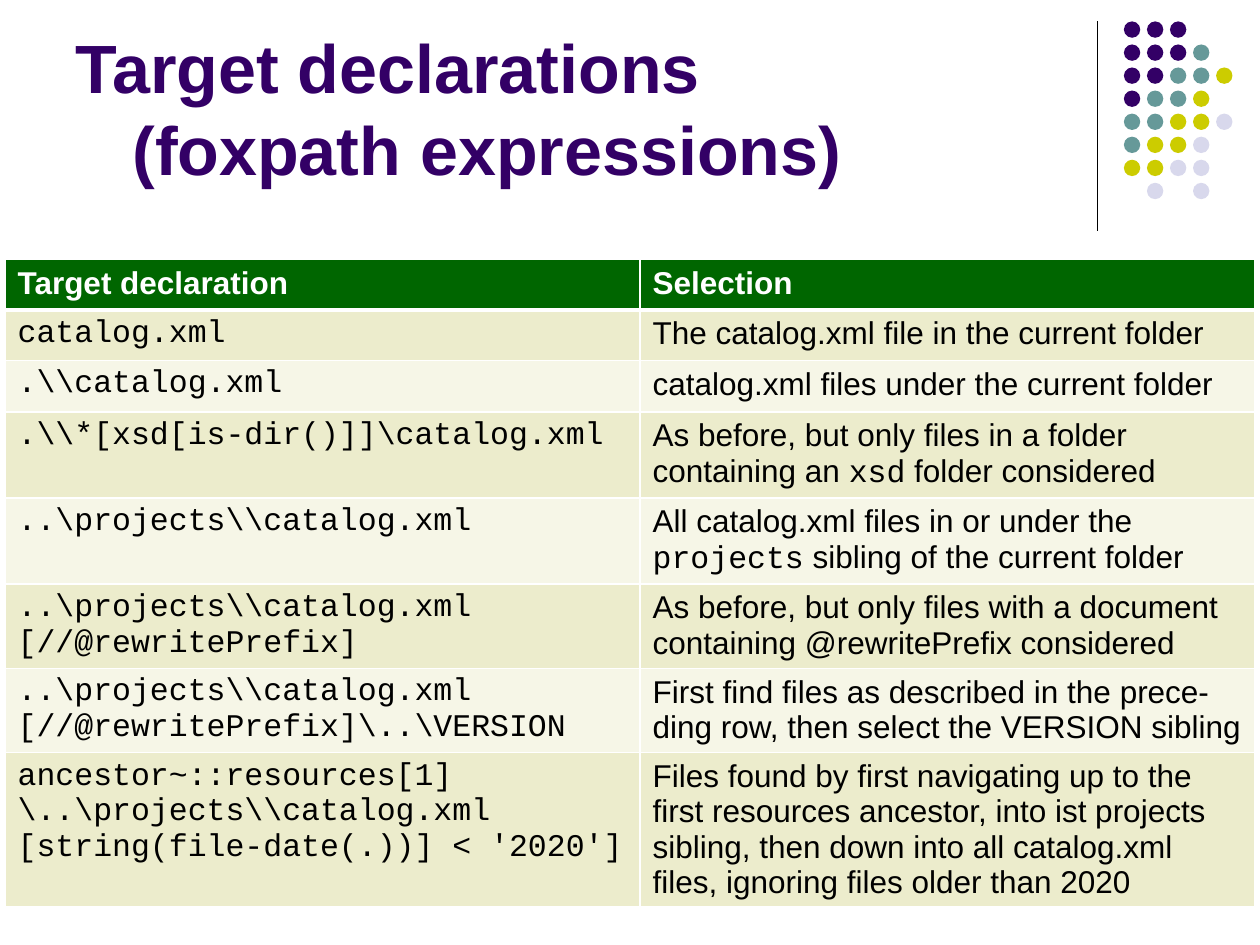
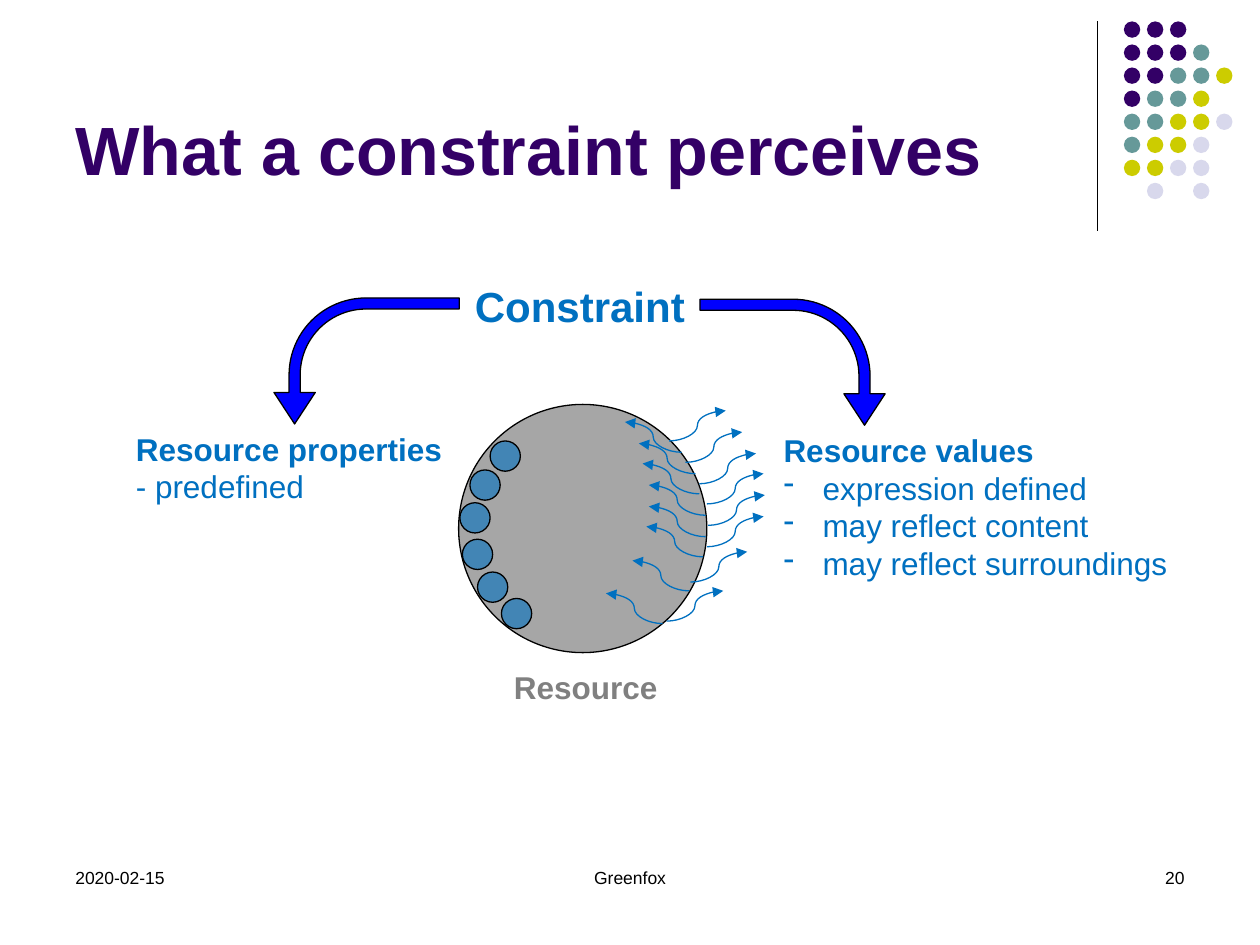
from dataclasses import dataclass

from lxml import etree
from pptx import Presentation
from pptx.dml.color import RGBColor
from pptx.enum import shapes, text
from pptx.oxml import ns
from pptx.util import Inches, Pt


@dataclass(frozen=True)
class Theme:
    purple: str = "330066"
    teal: str = "669999"
    yellow: str = "CCCC00"
    lilac: str = "D8D8EC"
    green: str = "006600"
    band_dark: str = "ECECCC"
    band_light: str = "F6F6E7"
    blue: str = "0070C0"
    arrow_blue: str = "0000FF"
    grey: str = "A6A6A6"
    label_grey: str = "808080"
    black: str = "000000"
    white: str = "FFFFFF"
    font: str = "Arial"
    code_font: str = "Courier New"
    title_size: int = 39
    heading_size: int = 24
    body_size: int = 18
    footer_size: int = 10
    line_width: float = 0.75
    leading: float = 1.2


THEME = Theme()
ALIGN = text.PP_ALIGN
SHAPE = shapes.MSO_SHAPE

# Corner ornament: one letter per dot
DOT_ROWS = ["PPP", "PPPT", "PPTTY", "PTTY", "TTYYL", "TYYL", "YYLL", ".L.L"]
DOT_COLORS = {"P": THEME.purple, "T": THEME.teal, "Y": THEME.yellow, "L": THEME.lilac}

# Lines of code on the left; backticks mark code on the right
TABLE_HEADER = ("Target declaration", "Selection")
DECLARATIONS = [
    ([r"catalog.xml"], "The catalog.xml file in the current folder"),
    ([r".\\catalog.xml"], "catalog.xml files under the current folder"),
    ([r".\\*[xsd[is-dir()]]\catalog.xml"],
     "As before, but only files in a folder containing an `xsd` folder considered"),
    ([r"..\projects\\catalog.xml"],
     "All catalog.xml files in or under the `projects` sibling of the current folder"),
    ([r"..\projects\\catalog.xml", r"[//@rewritePrefix]"],
     "As before, but only files with a document containing @rewritePrefix considered"),
    ([r"..\projects\\catalog.xml", r"[//@rewritePrefix]\..\VERSION"],
     "First find files as described in the prece- ding row, "
     "then select the VERSION sibling"),
    ([r"ancestor~::resources[1]", r"\..\projects\\catalog.xml",
      r"[string(file-date(.))] < '2020']"],
     "Files found by first navigating up to the first resources ancestor, into ist "
     "projects sibling, then down into all catalog.xml files, "
     "ignoring files older than 2020"),
]
COLUMN_WIDTHS = (5.04, 4.88)
ROW_HEIGHTS = (0.4, 0.4, 0.41, 0.68, 0.68, 0.67, 0.67, 1.21)

FOOTERS = [
    ("2020-02-15", 0.5, 2.33, ALIGN.LEFT),
    ("Greenfox", 3.19, 3.62, ALIGN.CENTER),
    ("20", 7.17, 2.33, ALIGN.RIGHT),
]
RESOURCE_BOX = (3.64, 3.21, 1.97, 1.97)
PROPERTY_SIZE = 0.24
PROPERTY_DOTS = [(3.89, 3.5), (3.73, 3.73), (3.65, 3.99),
                 (3.67, 4.28), (3.79, 4.54), (3.98, 4.75)]
WAVE_RUN, WAVE_RISE = 0.45, 0.24
OUTWARD_WAVES = [(5.31, 3.5), (5.44, 3.67), (5.55, 3.84), (5.61, 4),
                 (5.62, 4.17), (5.61, 4.34), (5.48, 4.62), (5.29, 4.93)]
INWARD_WAVES = [(5.41, 3.59), (5.52, 3.76), (5.55, 3.92), (5.6, 4.09),
                (5.6, 4.26), (5.58, 4.42), (5.47, 4.69), (5.26, 4.95)]
BENT_ARROWS = [((2.41, 2.13, 1, 1.47), 270, True), ((5.79, 2.14, 1, 1.47), 90, False)]
BENT_ADJUSTMENTS = (0.088, 0.164, 0.25, 0.611)
# First line bold, the rest plain; the flag adds hyphen bullets to the rest
LABELS = [
    ((0.98, 3.36, 2.66, 0.71), ["Resource properties", "- predefined"],
     THEME.body_size, THEME.blue, False),
    ((6.12, 3.37, 3.35, 1.31),
     ["Resource values", "expression defined", "may reflect content",
      "may reflect surroundings"], THEME.body_size, THEME.blue, True),
    ((3.98, 5.25, 1.35, 0.4), ["Resource"], THEME.body_size, THEME.label_grey, False),
    ((3.67, 2.18, 1.88, 0.5), ["Constraint"], THEME.heading_size, THEME.blue, False),
]


def inches(values):
    return [Inches(value) for value in values]


def rgb(color):
    return RGBColor.from_string(color)


def add_xml(parent, tag, **attributes):
    return etree.SubElement(parent, ns.qn(tag), attributes)


def style_font(font, size, color, bold=False, name=THEME.font):
    font.name, font.size, font.bold = name, Pt(size), bold
    font.color.rgb = rgb(color)


def fill_lines(frame, lines):
    """Put one paragraph per line into the frame and return the paragraphs."""
    frame.text = "\n".join(lines)
    return frame.paragraphs


def indent(paragraph, left, first=0):
    properties = paragraph._p.get_or_add_pPr()
    properties.set("marL", str(Inches(left)))
    properties.set("indent", str(Inches(first)))
    return properties


def add_shape(parent, kind, box, fill, outlined=True, opacity=None):
    shape = parent.add_shape(kind, *inches(box))
    shape.shadow.inherit = False
    shape.fill.solid()
    shape.fill.fore_color.rgb = rgb(fill)
    if opacity:
        color = shape._element.spPr.find(".//" + ns.qn("a:srgbClr"))
        add_xml(color, "a:alpha", val=str(opacity * 1000))
    if outlined:
        shape.line.color.rgb = rgb(THEME.black)
        shape.line.width = Pt(THEME.line_width)
    else:
        shape.line.fill.background()
    return shape


def add_line(slide, kind, start, end, color, arrow=False):
    connector = slide.shapes.add_connector(kind, *inches(start + end))
    connector.line.color.rgb = rgb(color)
    connector.line.width = Pt(THEME.line_width)
    if arrow:
        add_xml(connector.line._get_or_add_ln(), "a:tailEnd", type="triangle")
    add_xml(connector._element.spPr, "a:effectLst")


def add_base_slide(presentation, title_lines):
    """Add a slide with its title, corner rule and dot ornament."""
    slide = presentation.slides.add_slide(presentation.slide_layouts[5])
    add_line(slide, shapes.MSO_CONNECTOR.STRAIGHT, (8.71, 0.17), (8.71, 1.83), THEME.black)
    ornament = slide.shapes.add_group_shape()
    pitch, size = 0.183, 0.13
    for row, letters in enumerate(DOT_ROWS):
        for column, letter in enumerate(letters):
            if letter in DOT_COLORS:
                box = (8.92 + column * pitch, 0.17 + row * pitch, size, size)
                add_shape(ornament.shapes, SHAPE.OVAL, box, DOT_COLORS[letter], False)

    title = slide.shapes.title
    title.left, title.top, title.width, title.height = inches((0.5, 0.13, 8.25, 1.42))
    frame = title.text_frame
    frame.auto_size = text.MSO_AUTO_SIZE.NONE
    frame.vertical_anchor = text.MSO_ANCHOR.BOTTOM
    for number, paragraph in enumerate(fill_lines(frame, title_lines)):
        paragraph.alignment = ALIGN.LEFT
        paragraph.line_spacing = Pt(THEME.title_size * THEME.leading)
        style_font(paragraph.font, THEME.title_size, THEME.purple, True)
        indent(paragraph, 0.45 * number)
    return slide


def set_cell_look(cell, fill, top, bottom):
    """Fill a cell and give it white borders, top and bottom in points."""
    cell.fill.solid()
    cell.fill.fore_color.rgb = rgb(fill)
    properties = cell._tc.get_or_add_tcPr()
    widths = {"a:lnL": 1, "a:lnR": 1, "a:lnT": top, "a:lnB": bottom}
    for position, (tag, width) in enumerate(widths.items()):
        border = add_xml(properties, tag, w=str(Pt(width)))
        add_xml(add_xml(border, "a:solidFill"), "a:srgbClr", val=THEME.white)
        properties.insert(position, border)


def add_declaration_table(slide):
    frame = slide.shapes.add_table(
        len(ROW_HEIGHTS), len(COLUMN_WIDTHS),
        *inches((0.04, 2.06, sum(COLUMN_WIDTHS), sum(ROW_HEIGHTS))))
    table = frame.table
    for column, width in zip(table.columns, COLUMN_WIDTHS):
        column.width = Inches(width)
    for row, height in zip(table.rows, ROW_HEIGHTS):
        row.height = Inches(height)

    for cell, heading in zip(table.rows[0].cells, TABLE_HEADER):
        set_cell_look(cell, THEME.green, 1, 3)
        paragraph = fill_lines(cell.text_frame, [heading])[0]
        style_font(paragraph.font, THEME.body_size, THEME.white, True)

    for number, (code_lines, selection) in enumerate(DECLARATIONS, 1):
        code_cell, selection_cell = table.rows[number].cells
        for cell in (code_cell, selection_cell):
            band = THEME.band_dark if number % 2 else THEME.band_light
            set_cell_look(cell, band, 3 if number == 1 else 1, 1)
        for paragraph in fill_lines(code_cell.text_frame, code_lines):
            style_font(paragraph.font, THEME.body_size, THEME.black, name=THEME.code_font)
        paragraph = selection_cell.text_frame.paragraphs[0]
        style_font(paragraph.font, THEME.body_size, THEME.black)
        for part, words in enumerate(selection.split("`")):
            run = paragraph.add_run()
            run.text = words
            if part % 2:
                run.font.name = THEME.code_font


def add_footers(slide):
    for words, left, width, alignment in FOOTERS:
        frame = slide.shapes.add_textbox(*inches((left, 6.83, width, 0.5))).text_frame
        frame.word_wrap = True
        paragraph = fill_lines(frame, [words])[0]
        paragraph.alignment = alignment
        style_font(paragraph.font, THEME.footer_size, THEME.black)


def add_label(slide, box, lines, size, color, bulleted):
    frame = slide.shapes.add_textbox(*inches(box)).text_frame
    frame.word_wrap = False
    frame.auto_size = text.MSO_AUTO_SIZE.SHAPE_TO_FIT_TEXT
    for number, paragraph in enumerate(fill_lines(frame, lines)):
        paragraph.line_spacing = Pt(size * THEME.leading)
        style_font(paragraph.font, size, color, number == 0)
        if bulleted and number:
            properties = indent(paragraph, 0.31, -0.31)
            bullet = add_xml(properties, "a:buChar", char="-")
            properties.find(ns.qn("a:defRPr")).addprevious(bullet)


def add_resource_diagram(slide):
    add_shape(slide.shapes, SHAPE.OVAL, RESOURCE_BOX, THEME.grey)
    for left, top in PROPERTY_DOTS:
        box = (left, top, PROPERTY_SIZE, PROPERTY_SIZE)
        add_shape(slide.shapes, SHAPE.OVAL, box, THEME.blue, opacity=60)
    for starts, run in ((OUTWARD_WAVES, WAVE_RUN), (INWARD_WAVES, -WAVE_RUN)):
        for x, y in starts:
            add_line(slide, shapes.MSO_CONNECTOR.CURVE, (x, y),
                     (x + run, y - WAVE_RISE), THEME.blue, arrow=True)
    for label in LABELS:
        add_label(slide, *label)
    for box, rotation, flipped in BENT_ARROWS:
        arrow = add_shape(slide.shapes, SHAPE.BENT_ARROW, box, THEME.arrow_blue)
        arrow.rotation = rotation
        if flipped:
            arrow._element.spPr.find(ns.qn("a:xfrm")).set("flipH", "1")
        for number, value in enumerate(BENT_ADJUSTMENTS):
            arrow.adjustments[number] = value


def main():
    presentation = Presentation()
    presentation.slide_width, presentation.slide_height = Inches(10), Inches(7.5)
    slide = add_base_slide(presentation, ["Target declarations", "(foxpath expressions)"])
    add_declaration_table(slide)
    slide = add_base_slide(presentation, ["What a constraint perceives"])
    add_footers(slide)
    add_resource_diagram(slide)
    presentation.save("out.pptx")


if __name__ == "__main__":
    main()
